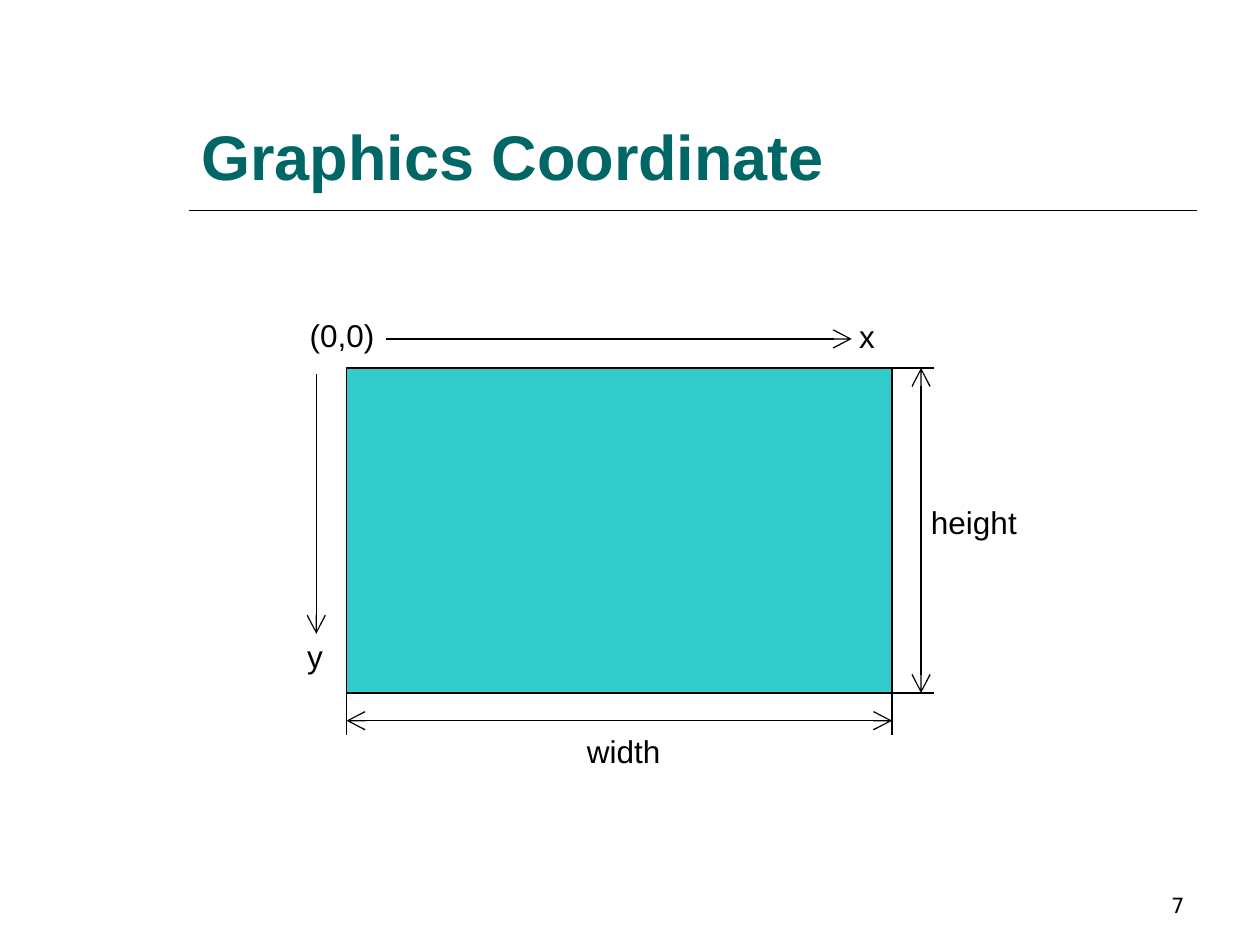
"""Build a slide that explains the graphics coordinate system."""
from lxml.etree import SubElement
from pptx import Presentation
from pptx.dml.color import RGBColor
from pptx.enum.shapes import MSO_CONNECTOR, MSO_SHAPE
from pptx.enum.text import MSO_ANCHOR, MSO_AUTO_SIZE, PP_ALIGN
from pptx.oxml.ns import qn
from pptx.util import Inches, Pt

COLORS = {"ink": "000000", "title": "006666", "area": "33CCCC"}
LEFT, TOP, WIDTH, HEIGHT = 2.75, 2.92, 4.33, 2.58
RIGHT, BOTTOM = LEFT + WIDTH, TOP + HEIGHT
TICK = 0.33
WIDTH_Y, HEIGHT_X = BOTTOM + 0.22, RIGHT + 0.23

LABEL = {"size": 18, "name": "Arial", "bold": False}
TITLE = {"size": 36, "name": "Arial", "bold": True}
NUMBER = {"size": 12, "name": "DejaVu Sans", "bold": False}

FRAMED = [
    ("7", (7.17, 6.83, 2.33, 0.5), NUMBER, "ink", PP_ALIGN.RIGHT),
    ("Graphics Coordinate", (1.5, 0.33, 8, 1.25), TITLE, "title", PP_ALIGN.LEFT),
]
LABELS = [
    ("(0,0)", 2.36, 2.46, 0.72),
    ("x", 6.72, 2.47, 0.33),
    ("y", 2.34, 5.01, 0.33),
    ("width", 4.56, 5.76, 0.79),
    ("height", 7.29, 3.94, 0.89),
]
TICKS = [
    (x, BOTTOM, x, BOTTOM + TICK) for x in (LEFT, RIGHT)
] + [
    (RIGHT, y, RIGHT + TICK, y) for y in (TOP, BOTTOM)
]
DIMENSIONS = [(LEFT, WIDTH_Y, RIGHT, WIDTH_Y), (HEIGHT_X, BOTTOM, HEIGHT_X, TOP)]
AXES = [(3.06, 2.69, 6.76, 2.69), (2.51, 2.97, 2.51, 5.03)]


def rgb(key):
    """Return a palette colour."""
    return RGBColor.from_string(COLORS[key])


def add_line(ends, width=0.74, arrows=()):
    """Draw a straight line with optional arrowheads."""
    sp = slide.shapes.add_connector(MSO_CONNECTOR.STRAIGHT, *map(Inches, ends))
    sp.line.width = Pt(width)
    sp.line.color.rgb = rgb("ink")
    ln = sp.line._get_or_add_ln()
    for tag in arrows:
        SubElement(ln, qn(tag), type="arrow", w="lg", len="lg")
    SubElement(sp._element.spPr, qn("a:effectLst"))


def add_text(text, box, font, color="ink", align=PP_ALIGN.LEFT,
             anchor=MSO_ANCHOR.TOP, wrap=False):
    """Write one line of text in a box."""
    tf = slide.shapes.add_textbox(*map(Inches, box)).text_frame
    tf.word_wrap, tf.vertical_anchor = wrap, anchor
    tf.auto_size = MSO_AUTO_SIZE.NONE if wrap else MSO_AUTO_SIZE.SHAPE_TO_FIT_TEXT
    p = tf.paragraphs[0]
    p.alignment = align
    r = p.add_run()
    r.text = text
    for key, value in font.items():
        setattr(r.font, key, Pt(value) if key == "size" else value)
    r.font.color.rgb = rgb(color)


prs = Presentation()
prs.slide_width, prs.slide_height = Inches(10), Inches(7.5)
slide = prs.slides.add_slide(prs.slide_layouts[6])

add_line((1.5, 1.67, 9.5, 1.67), 0.99)
for text, box, font, color, align in FRAMED:
    add_text(text, box, font, color, align, MSO_ANCHOR.BOTTOM, True)

area = slide.shapes.add_shape(
    MSO_SHAPE.RECTANGLE, *map(Inches, (LEFT, TOP, WIDTH, HEIGHT)))
area.shadow.inherit = False
area.fill.solid()
area.fill.fore_color.rgb = rgb("area")
area.line.color.rgb = rgb("ink")
area.line.width = Pt(0.74)

for text, x, y, w in LABELS:
    add_text(text, (x, y, w, 0.4), LABEL)
for lines, arrows in (
    (TICKS, ()),
    (DIMENSIONS, ("a:headEnd", "a:tailEnd")),
    (AXES, ("a:tailEnd",)),
):
    for ends in lines:
        add_line(ends, arrows=arrows)

prs.save("out.pptx")
